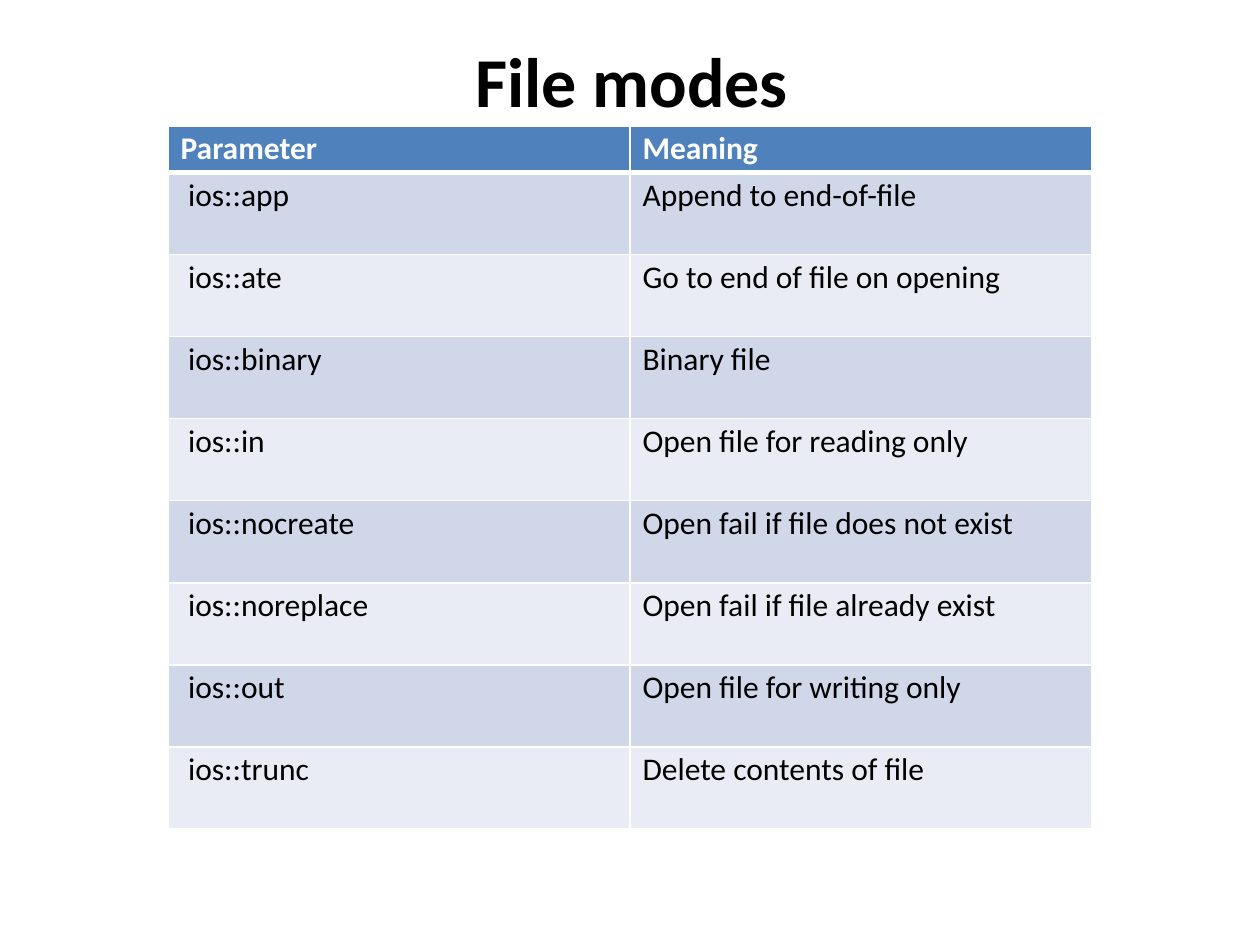
"""Build a slide with a two-column table of file modes."""
from dataclasses import dataclass

from lxml import etree
from pptx import Presentation
from pptx import util as u
from pptx.dml import color
from pptx.enum import text
from pptx.oxml import ns


@dataclass(frozen=True)
class Theme:
    font: str = "Calibri"
    ink: str = "000000"
    paper: str = "FFFFFF"
    header: str = "4F81BC"
    bands: tuple = ("D0D7E8", "E9ECF4")
    title_size: float = 40
    body_size: float = 18
    thin: float = 1
    thick: float = 3


THEME = Theme()
ROWS = [
    ("Parameter", "Meaning"),
    ("ios::app", "Append to end-of-file"),
    ("ios::ate", "Go to end of file on opening"),
    ("ios::binary", "Binary file"),
    ("ios::in", "Open file for reading only"),
    ("ios::nocreate", "Open fail if file does not exist"),
    ("ios::noreplace", "Open fail if file already exist"),
    ("ios::out", "Open file for writing only"),
    ("ios::trunc", "Delete contents of file"),
]
HEADER_HEIGHT, ROW_HEIGHT, COLUMN_WIDTH = 26.6, 46.9, 264


def write(frame, words, *, size, ink=THEME.ink, bold=False, align=text.PP_ALIGN.LEFT):
    para = frame.paragraphs[0]
    para.alignment = align
    span = para.add_run()
    span.text = words
    span.font.name = THEME.font
    span.font.size = u.Pt(size)
    span.font.bold = bold
    span.font.color.rgb = color.RGBColor.from_string(ink)


def add_title(page, words):
    box = page.shapes.add_textbox(u.Pt(264), u.Pt(18), u.Pt(194), u.Pt(55.5))
    frame = box.text_frame
    frame.word_wrap = False
    frame.auto_size = text.MSO_AUTO_SIZE.SHAPE_TO_FIT_TEXT
    write(frame, words, size=THEME.title_size, bold=True, align=text.PP_ALIGN.CENTER)


def set_borders(cell, **widths):
    properties = cell._tc.get_or_add_tcPr()
    for side in "LRTB":
        width = widths.get(side, THEME.thin)
        line = etree.SubElement(properties, ns.qn(f"a:ln{side}"), w=str(u.Pt(width)))
        fill = etree.SubElement(line, ns.qn("a:solidFill"))
        etree.SubElement(fill, ns.qn("a:srgbClr"), val=THEME.paper)


def set_fill(cell, tint):
    cell.fill.solid()
    cell.fill.fore_color.rgb = color.RGBColor.from_string(tint)


def set_margins(cell, left):
    cell.margin_left = u.Pt(left)
    cell.margin_top = u.Pt(2.2)
    cell.margin_right = cell.margin_bottom = u.Pt(0)


def add_mode_table(page, rows):
    height = HEADER_HEIGHT + ROW_HEIGHT * (len(rows) - 1)
    table = page.shapes.add_table(
        len(rows), 2, u.Pt(96), u.Pt(72), u.Pt(2 * COLUMN_WIDTH), u.Pt(height)
    ).table
    for column in table.columns:
        column.width = u.Pt(COLUMN_WIDTH)
    for i, row in enumerate(rows):
        header = i == 0
        table.rows[i].height = u.Pt(HEADER_HEIGHT if header else ROW_HEIGHT)
        for j, words in enumerate(row):
            cell = table.cell(i, j)
            set_margins(cell, 7.2 if header or j else 11.5)
            edges = {0: {"B": THEME.thick}, 1: {"T": THEME.thick}}.get(i, {})
            set_borders(cell, **edges)
            set_fill(cell, THEME.header if header else THEME.bands[(i - 1) % 2])
            write(cell.text_frame, words, size=THEME.body_size, bold=header,
                  ink=THEME.paper if header else THEME.ink)


def main():
    deck = Presentation()
    deck.slide_width, deck.slide_height = u.Pt(720), u.Pt(540)
    page = deck.slides.add_slide(deck.slide_layouts[6])
    add_mode_table(page, ROWS)
    add_title(page, "File modes")
    deck.save("out.pptx")


if __name__ == "__main__":
    main()
